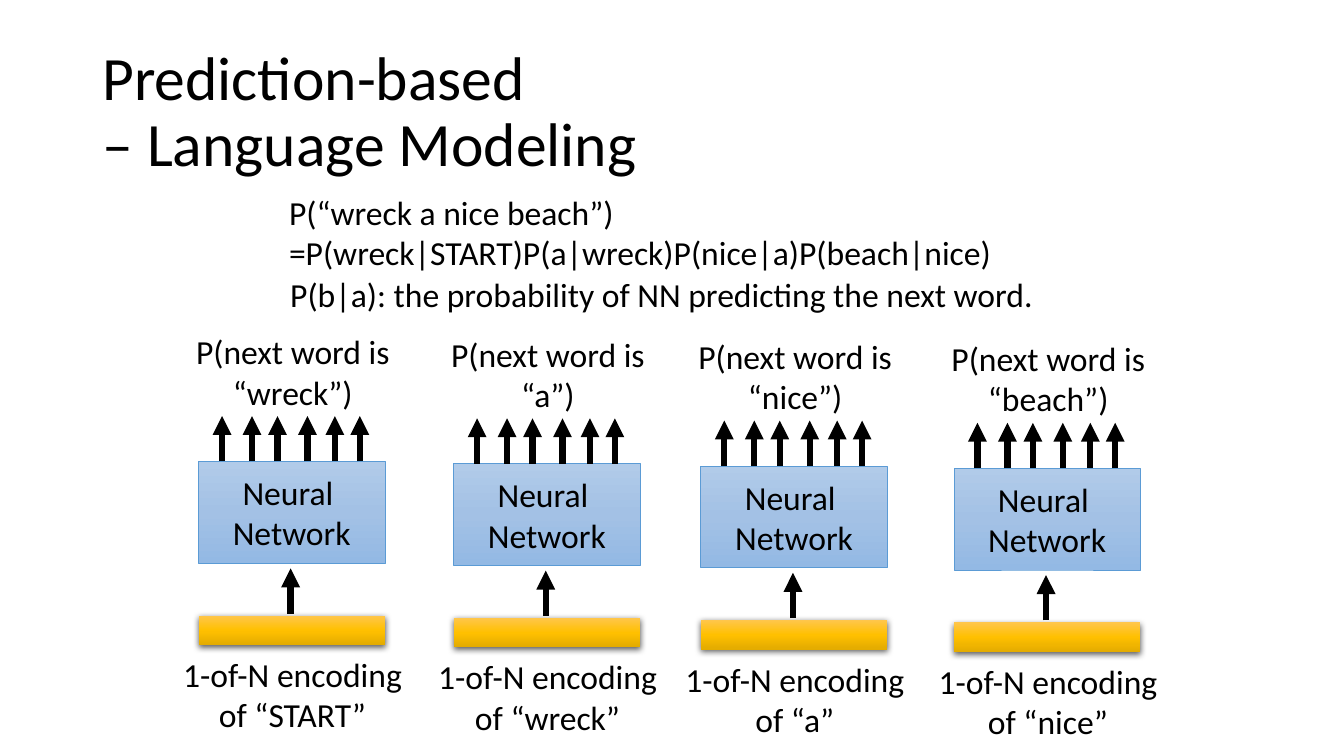
from copy import deepcopy

from lxml import etree
from pptx import Presentation
from pptx.dml.color import RGBColor
from pptx.enum.shapes import MSO_CONNECTOR, MSO_SHAPE
from pptx.enum.text import MSO_ANCHOR, MSO_AUTO_SIZE, PP_ALIGN
from pptx.oxml.ns import qn
from pptx.util import Pt

RECTANGLE = MSO_SHAPE.RECTANGLE
STRAIGHT = MSO_CONNECTOR.STRAIGHT
LEFT, CENTER = PP_ALIGN.LEFT, PP_ALIGN.CENTER
MIDDLE = MSO_ANCHOR.MIDDLE
NO_FIT, GROW = MSO_AUTO_SIZE.NONE, MSO_AUTO_SIZE.SHAPE_TO_FIT_TEXT

TITLE = ["Prediction-based ", "– Language Modeling"]
DEFINITION = ["P(b|a): the probability of NN predicting the next word."]
EXPANSION = ["P(“wreck a nice beach”)", "=P(wreck|START)P(a|wreck)P(nice|a)P(beach|nice)"]
NETWORK = ["Neural ", "Network"]
STEPS = [
    ("START", "wreck", 141.8),
    ("wreck", "a", 324),
    ("a", "nice", 500.6),
    ("nice", "beach", 681.4),
]

FONT = "Calibri"
BLACK = "000000"
NETWORK_EDGE = "5B9BD5"
NETWORK_SHADES = ["B1CBE9", "A3C1E5", "93B9E4"]
ENCODING_SHADES = ["FFC64B", "FFC000", "E3AB00"]

FIRST_TOP, STEP_DROP = 329.6, 1.6
BOX_WIDTH, NETWORK_HEIGHT, ENCODING_HEIGHT = 133.2, 72.8, 21
ENCODING_DROP = 110.2
ARROW_LENGTH = 32.4
INPUT_ARROW = (65.8, 108.8)
OUTPUT_ARROWS = [16.8, 38.2, 56.4, 77.8, 97.4, 115.2]


def color(hex_string):
    return RGBColor.from_string(hex_string)


def add_run(paragraph, text, size=24):
    run = paragraph.add_run()
    run.text = text
    run.font.name = FONT
    run.font.size = Pt(size)
    run.font.color.rgb = color(BLACK)


def write_lines(frame, lines, alignment):
    for index, line in enumerate(lines):
        paragraph = frame.add_paragraph() if index else frame.paragraphs[0]
        paragraph.alignment = alignment
        add_run(paragraph, line)


def add_text(slide, left, top, width, height, lines, alignment=LEFT):
    box = slide.shapes.add_textbox(Pt(left), Pt(top), Pt(width), Pt(height))
    box.text_frame.word_wrap = True
    box.text_frame.auto_size = GROW
    write_lines(box.text_frame, lines, alignment)


def add_shaded_box(slide, left, top, height, shades):
    shape = slide.shapes.add_shape(RECTANGLE, Pt(left), Pt(top), Pt(BOX_WIDTH), Pt(height))
    shape.fill.gradient()
    shape.fill.gradient_angle = 270
    stop_list = shape._element.spPr.find(qn("a:gradFill")).find(qn("a:gsLst"))
    stop_list.insert(1, deepcopy(stop_list[0]))
    for index, (stop, shade) in enumerate(zip(shape.fill.gradient_stops, shades)):
        stop.position = index / 2
        stop.color.rgb = color(shade)
    return shape


def add_network(slide, left, top):
    shape = add_shaded_box(slide, left, top, NETWORK_HEIGHT, NETWORK_SHADES)
    shape.line.color.rgb = color(NETWORK_EDGE)
    shape.line.width = Pt(0.5)
    shape.shadow.inherit = False
    shape.text_frame.vertical_anchor = MIDDLE
    write_lines(shape.text_frame, NETWORK, CENTER)


def add_encoding(slide, left, top):
    shape = add_shaded_box(slide, left, top, ENCODING_HEIGHT, ENCODING_SHADES)
    shape.line.fill.background()
    effects = etree.SubElement(shape._element.spPr, qn("a:effectLst"))
    shadow = etree.SubElement(
        effects, qn("a:outerShdw"), blurRad=str(Pt(4.5)), dist=str(Pt(1.5)),
        dir="5400000", algn="ctr", rotWithShape="0")
    shade = etree.SubElement(shadow, qn("a:srgbClr"), val=BLACK)
    etree.SubElement(shade, qn("a:alpha"), val="63000")


def add_up_arrow(slide, x, bottom):
    arrow = slide.shapes.add_connector(STRAIGHT, Pt(x), Pt(bottom), Pt(x), Pt(bottom - ARROW_LENGTH))
    arrow.line.color.rgb = color(BLACK)
    arrow.line.width = Pt(4.5)
    etree.SubElement(arrow.line._get_or_add_ln(), qn("a:tailEnd"), type="triangle")
    etree.SubElement(arrow._element.spPr, qn("a:effectLst"))


def add_title(slide):
    title = slide.shapes.title
    title.left, title.top, title.width, title.height = Pt(66), Pt(28.8), Pt(828), Pt(104.4)
    frame = title.text_frame
    frame.auto_size = NO_FIT
    frame.vertical_anchor = MIDDLE
    paragraph = frame.paragraphs[0]
    paragraph.alignment = LEFT
    paragraph.line_spacing = 0.9
    add_run(paragraph, TITLE[0], 44)
    paragraph.add_line_break()
    add_run(paragraph, TITLE[1], 44)


def add_step(slide, given, predicted, left, top):
    add_network(slide, left, top)
    input_x, input_drop = INPUT_ARROW
    add_up_arrow(slide, left + input_x, top + input_drop)
    for offset in OUTPUT_ARROWS:
        add_up_arrow(slide, left + offset, top)
    add_encoding(slide, left, top + ENCODING_DROP)
    add_text(slide, left - 20, top + 134, 174.2, 65.4, [f"1-of-N encoding of “{given}”"], CENTER)
    add_text(slide, left - 23, top - 96.6, 180.8, 65.4, [f"P(next word is “{predicted}”)"], CENTER)


presentation = Presentation()
presentation.slide_width, presentation.slide_height = Pt(960), Pt(540)
slide = presentation.slides.add_slide(presentation.slide_layouts[5])
add_title(slide)
add_text(slide, 200.2, 192.4, 564.4, 36.4, DEFINITION)
add_text(slide, 199.4, 133.2, 526.4, 65.4, EXPANSION)
for index, (given, predicted, left) in enumerate(STEPS):
    add_step(slide, given, predicted, left, FIRST_TOP + index * STEP_DROP)
presentation.save("out.pptx")
